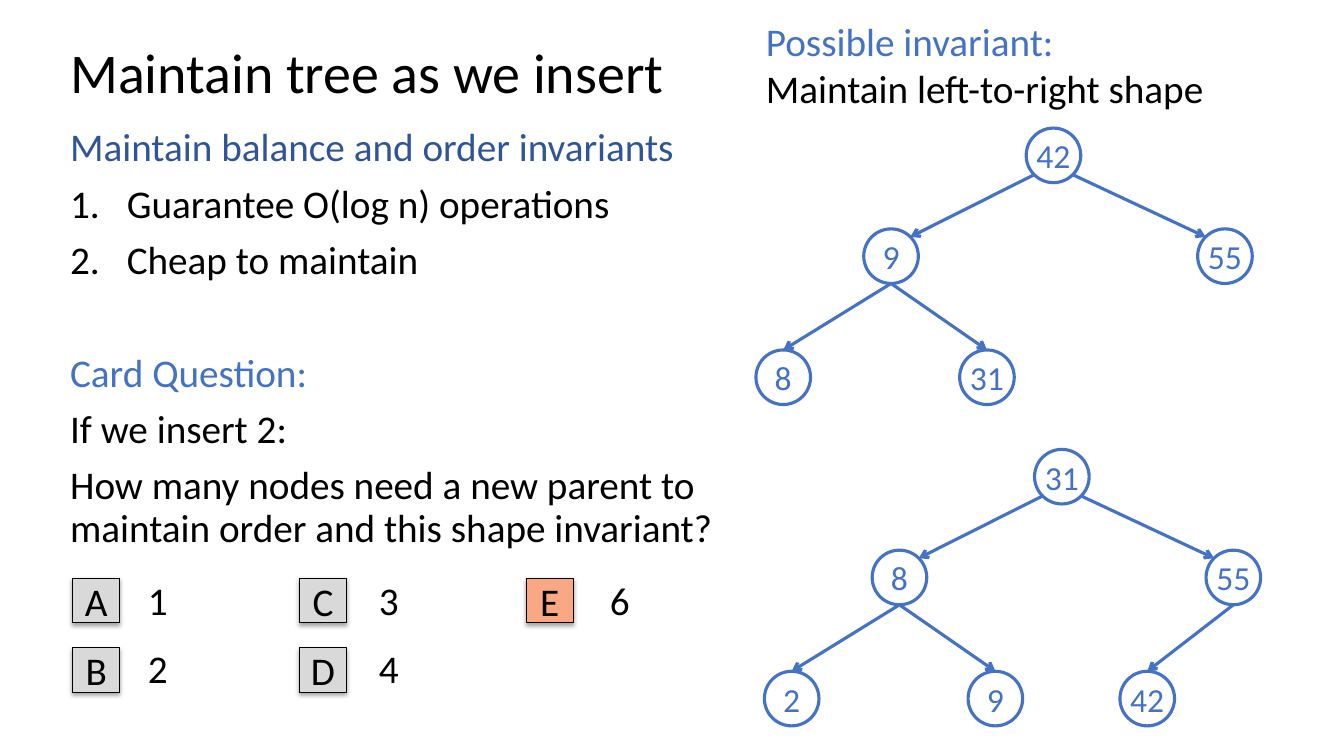
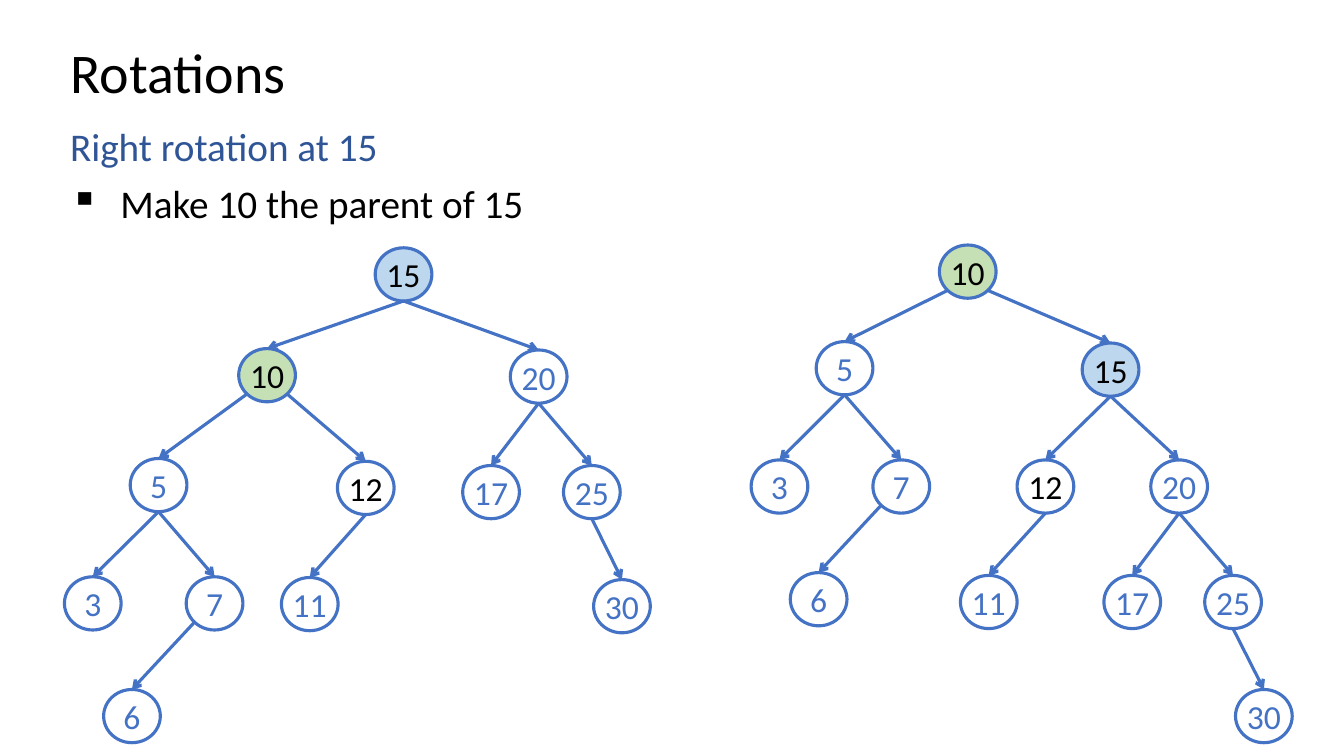
"""Build two slides on keeping a binary search tree balanced."""
from dataclasses import dataclass
from math import cos, radians, sin

from lxml import etree
from pptx import Presentation
from pptx.dml.color import RGBColor
from pptx.enum.shapes import MSO_CONNECTOR, MSO_SHAPE
from pptx.enum.text import MSO_ANCHOR, PP_ALIGN
from pptx.oxml.ns import qn
from pptx.util import Pt

OVAL, RECT = MSO_SHAPE.OVAL, MSO_SHAPE.RECTANGLE
STRAIGHT = MSO_CONNECTOR.STRAIGHT
MIDDLE = MSO_ANCHOR.MIDDLE
LEFT, CENTER = PP_ALIGN.LEFT, PP_ALIGN.CENTER


@dataclass(frozen=True)
class Theme:
    font: str = "Calibri"
    title: float = 40
    body: float = 28
    label: float = 24
    black: RGBColor = RGBColor.from_string("000000")
    white: RGBColor = RGBColor.from_string("FFFFFF")
    heading: RGBColor = RGBColor.from_string("2F5597")
    accent: RGBColor = RGBColor.from_string("4472C4")
    gray: RGBColor = RGBColor.from_string("D9D9D9")
    orange: RGBColor = RGBColor.from_string("F9A883")
    green: RGBColor = RGBColor.from_string("C5E0B4")
    blue: RGBColor = RGBColor.from_string("BDD7EE")


T = Theme()
HIGHLIGHTS = {"10": T.green, "15": T.blue, "12": T.white}
TOP, TOP_LEFT, BOTTOM_LEFT, BOTTOM, BOTTOM_RIGHT, TOP_RIGHT = 0, 1, 3, 4, 5, 7


def write(tf, text, size=T.body, color=T.black, align=LEFT, before=0,
          spacing=None, bullet=None, indent=0):
    p = tf.paragraphs[0] if not tf.text else tf.add_paragraph()
    if bullet:
        pPr = p._p.get_or_add_pPr()
        pPr.set("marL", str(Pt(indent)))
        pPr.set("indent", str(-Pt(indent)))
        tag, attr = bullet
        etree.SubElement(pPr, qn(tag)).set(*attr)
    p.alignment = align
    p.space_before = Pt(before)
    if spacing:
        p.line_spacing = spacing
    r = p.add_run()
    r.text = text
    r.font.name = T.font
    r.font.size = Pt(size)
    r.font.color.rgb = color


def draw_tree(shapes, origin, size, nodes):
    placed = {}
    w, h = size
    for label, x, y, parent, start, end in nodes:
        x, y = origin[0] + x, origin[1] + y
        sp = shapes.add_shape(OVAL, Pt(x), Pt(y), Pt(w), Pt(h))
        sp.shadow.inherit = False
        sp.fill.solid()
        sp.fill.fore_color.rgb = HIGHLIGHTS.get(label, T.white)
        sp.line.color.rgb = T.accent
        sp.line.width = Pt(2.25)
        tf = sp.text_frame
        tf.margin_left = tf.margin_right = tf.margin_top = tf.margin_bottom = 0
        tf.vertical_anchor = MIDDLE
        write(tf, label, size=T.label, align=CENTER,
              color=T.black if label in HIGHLIGHTS else T.accent)
        placed[label] = sp, x + w / 2, y + h / 2
        if parent is None:
            continue
        ends = []
        joints = (("a:stCxn", parent, start), ("a:endCxn", label, end))
        for _, name, site in joints:
            _, cx, cy = placed[name]
            angle = radians(45 * site)
            ends += [Pt(cx - w / 2 * sin(angle)), Pt(cy - h / 2 * cos(angle))]
        c = shapes.add_connector(STRAIGHT, *ends)
        c.line.color.rgb = T.accent
        c.line.width = Pt(2.25)
        etree.SubElement(c.line._get_or_add_ln(), qn("a:tailEnd")).set("type", "arrow")
        etree.SubElement(c._element.spPr, qn("a:effectLst"))
        props = c._element.find(".//" + qn("p:cNvCxnSpPr"))
        for tag, name, site in joints:
            joint = etree.SubElement(props, qn(tag))
            joint.set("id", str(placed[name][0].shape_id))
            joint.set("idx", str(site))


prs = Presentation()
prs.slide_width, prs.slide_height = Pt(960), Pt(540)

NUMBER = ("a:buAutoNum", ("type", "arabicPeriod"))
SQUARE = ("a:buChar", ("char", "▪"))
PAGES = [
    ("Maintain tree as we insert", 497, 160, [
        ("Maintain balance and order invariants", {"color": T.heading}),
        ("Guarantee O(log n) operations", {"before": 10, "bullet": NUMBER, "indent": 40.5}),
        ("Cheap to maintain", {"before": 10, "bullet": NUMBER, "indent": 40.5}),
        ("Card Question:", {"before": 50, "color": T.accent}),
        ("If we insert 2:", {"before": 10}),
        ("How many nodes need a new parent to maintain order and this shape invariant?",
         {"before": 10}),
    ]),
    ("Rotations", 828, 80, [
        ("Right rotation at 15", {"color": T.heading}),
        ("Make 10 the parent of 15", {"before": 10, "bullet": SQUARE, "indent": 36}),
    ]),
]
slides = []
for title, width, height, lines in PAGES:
    s = prs.slides.add_slide(prs.slide_layouts[5])
    sp = s.shapes.title
    sp.left, sp.top, sp.width, sp.height = Pt(43), Pt(29), Pt(828), Pt(50)
    sp.text_frame.vertical_anchor = MIDDLE
    write(sp.text_frame, title, size=T.title, spacing=0.9)
    tf = s.shapes.add_textbox(Pt(43), Pt(88), Pt(width), Pt(height)).text_frame
    tf.word_wrap = True
    for text, style in lines:
        write(tf, text, spacing=0.9, **style)
    slides.append(s)
insertion, rotation = slides

tf = insertion.shapes.add_textbox(Pt(540), Pt(8.5), Pt(364), Pt(75)).text_frame
tf.word_wrap = True
write(tf, "Possible invariant:", color=T.accent)
write(tf, "Maintain left-to-right shape")

draw_tree(insertion.shapes, (540, 91.5), (39, 39), [
    ("42", 193, 0, None, None, None),
    ("9", 77, 72, "42", BOTTOM_LEFT, TOP_RIGHT),
    ("55", 315.5, 72, "42", BOTTOM_RIGHT, TOP_LEFT),
    ("8", 0, 158.5, "9", BOTTOM, TOP),
    ("31", 145.5, 158.5, "9", BOTTOM, TOP),
])
draw_tree(insertion.shapes, (546, 321), (39, 39), [
    ("31", 193, 0, None, None, None),
    ("8", 77, 72, "31", BOTTOM_LEFT, TOP_RIGHT),
    ("55", 315.5, 72, "31", BOTTOM_RIGHT, TOP_LEFT),
    ("2", 0, 158.5, "8", BOTTOM, TOP),
    ("9", 145.5, 158.5, "8", BOTTOM, TOP),
    ("42", 254, 158.5, "55", BOTTOM, TOP),
])

for i, (letter, answer) in enumerate(zip("ABCDE", "12346")):
    col, row = divmod(i, 2)
    sp = insertion.shapes.add_shape(RECT, Pt(52 + 162 * col), Pt(413 + 49.5 * row),
                                    Pt(33.5), Pt(32))
    sp.shadow.inherit = False
    sp.fill.solid()
    sp.fill.fore_color.rgb = T.orange if letter == "E" else T.gray
    sp.line.color.rgb = T.black
    sp.line.width = Pt(0.75)
    effects = sp._element.spPr.find(qn("a:effectLst"))
    shadow = etree.SubElement(effects, qn("a:outerShdw"), blurRad="40000",
                              dist="23000", dir="5400000", rotWithShape="0")
    shade = etree.SubElement(shadow, qn("a:srgbClr"), val=str(T.black))
    etree.SubElement(shade, qn("a:alpha"), val="35000")
    sp.text_frame.vertical_anchor = MIDDLE
    write(sp.text_frame, letter, align=CENTER)
    tf = insertion.shapes.add_textbox(Pt(98.5 + 165 * col), Pt(408 + 49 * row),
                                      Pt(40), Pt(41)).text_frame
    tf.word_wrap = True
    write(tf, answer)

draw_tree(rotation.shapes.add_group_shape().shapes, (0, 0), (40.5, 38), [
    ("15", 268, 177, None, None, None),
    ("10", 170.5, 249, "15", BOTTOM, TOP),
    ("20", 364.5, 250, "15", BOTTOM, TOP),
    ("5", 93, 327.5, "10", BOTTOM_LEFT, TOP),
    ("12", 241, 329.5, "10", BOTTOM_RIGHT, TOP),
    ("17", 330.5, 332.5, "20", BOTTOM, TOP),
    ("25", 402.5, 332.5, "20", BOTTOM, TOP),
    ("3", 46, 412, "5", BOTTOM, TOP),
    ("7", 133, 412, "5", BOTTOM, TOP),
    ("11", 201, 412.5, "12", BOTTOM, TOP),
    ("30", 424, 414, "25", BOTTOM, TOP),
    ("6", 74, 492.5, "7", BOTTOM_LEFT, TOP),
])
draw_tree(rotation.shapes.add_group_shape().shapes, (0, 0), (40.5, 38), [
    ("10", 671, 175, None, None, None),
    ("5", 583, 244, "10", BOTTOM_LEFT, TOP),
    ("15", 773, 245, "10", BOTTOM_RIGHT, TOP),
    ("3", 536.5, 328.5, "5", BOTTOM, TOP),
    ("7", 623.5, 328.5, "5", BOTTOM, TOP),
    ("12", 726.5, 328.5, "15", BOTTOM, TOP),
    ("20", 822, 328.5, "15", BOTTOM, TOP),
    ("6", 564.5, 409, "7", BOTTOM_LEFT, TOP),
    ("11", 686, 411, "12", BOTTOM, TOP),
    ("17", 788.5, 411, "20", BOTTOM, TOP),
    ("25", 860.5, 411, "20", BOTTOM, TOP),
    ("30", 882.5, 492.5, "25", BOTTOM, TOP),
])

prs.save("out.pptx")
